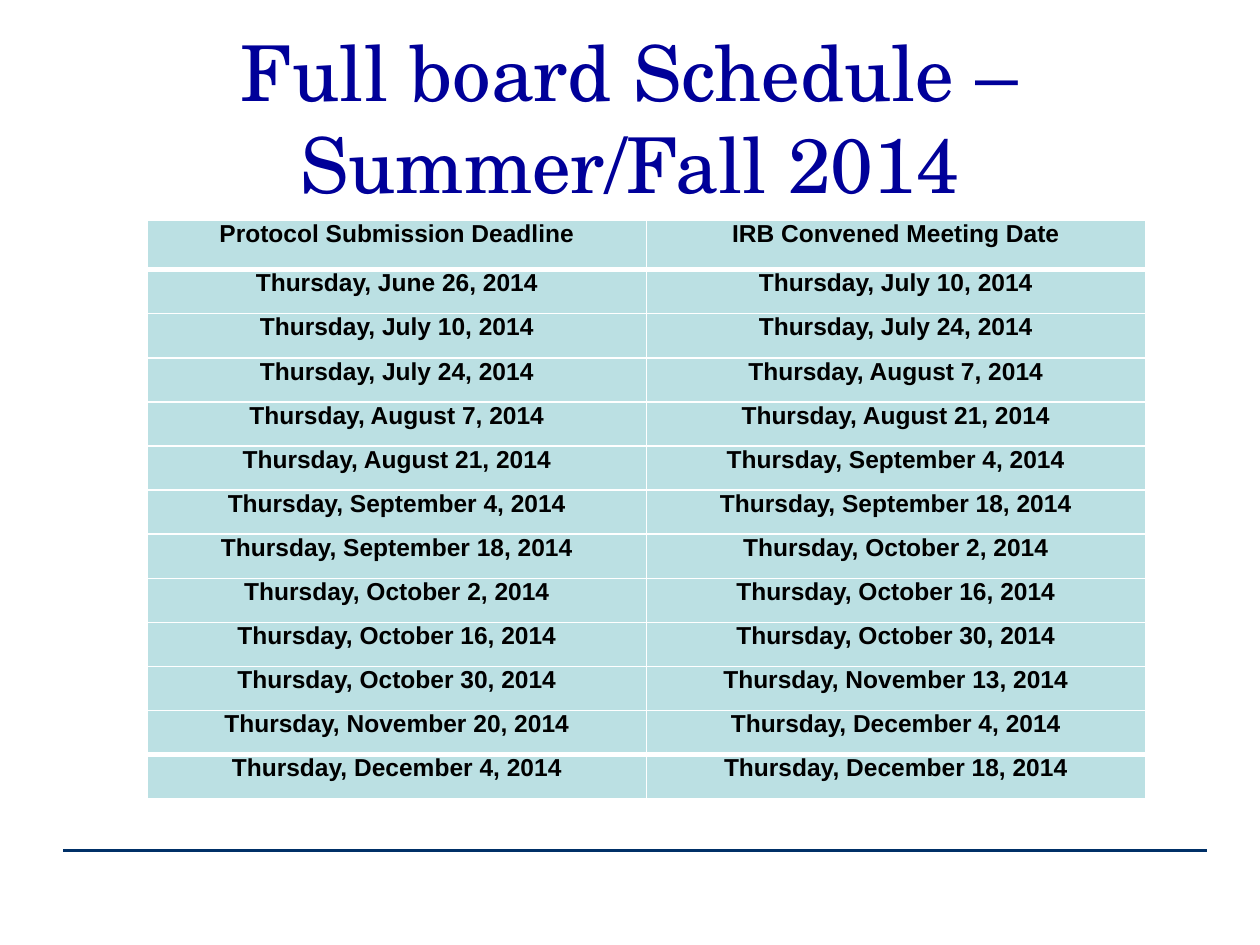
from dataclasses import dataclass
from lxml import etree
from pptx import Presentation
from pptx.dml.color import RGBColor
from pptx.enum.shapes import MSO_CONNECTOR
from pptx.enum.text import MSO_ANCHOR, PP_ALIGN
from pptx.oxml.ns import qn
from pptx.util import Inches, Pt

STRAIGHT = MSO_CONNECTOR.STRAIGHT
MIDDLE = MSO_ANCHOR.MIDDLE
TOP = MSO_ANCHOR.TOP
CENTER = PP_ALIGN.CENTER

SLIDE_WIDTH, SLIDE_HEIGHT = Inches(10), Inches(7.5)
HEADER_HEIGHT, MEETING_HEIGHT = 5.2, 4.67
THIN, THICK = 1, 3
WHITE = "FFFFFF"


@dataclass(frozen=True)
class Area:
    left: float
    top: float
    width: float
    height: float

    def lengths(self) -> tuple[int, int, int, int]:
        return across(self.left), down(self.top), across(self.width), down(self.height)


@dataclass(frozen=True)
class TextStyle:
    font: str
    size: float
    color: str
    bold: bool = False


@dataclass(frozen=True)
class Meeting:
    deadline: str
    convened: str


TITLE_STYLE = TextStyle("TeX Gyre Schola", 44, "000099")
CELL_STYLE = TextStyle("Arial", 14, "000000", True)

HEADER = Meeting("Protocol Submission Deadline", "IRB Convened Meeting Date")
MEETINGS = [
    Meeting("Thursday, June 26, 2014", "Thursday, July 10, 2014"),
    Meeting("Thursday, July 10, 2014", "Thursday, July 24, 2014"),
    Meeting("Thursday, July 24, 2014", "Thursday, August 7, 2014"),
    Meeting("Thursday, August 7, 2014", "Thursday, August 21, 2014"),
    Meeting("Thursday, August 21, 2014", "Thursday, September 4, 2014"),
    Meeting("Thursday, September 4, 2014", "Thursday, September 18, 2014"),
    Meeting("Thursday, September 18, 2014", "Thursday, October 2, 2014"),
    Meeting("Thursday, October 2, 2014", "Thursday, October 16, 2014"),
    Meeting("Thursday, October 16, 2014", "Thursday, October 30, 2014"),
    Meeting("Thursday, October 30, 2014", "Thursday, November 13, 2014"),
    Meeting("Thursday, November 20, 2014", "Thursday, December 4, 2014"),
    Meeting("Thursday, December 4, 2014", "Thursday, December 18, 2014"),
]


def across(percent: float) -> int:
    return round(SLIDE_WIDTH * percent / 100)


def down(percent: float) -> int:
    return round(SLIDE_HEIGHT * percent / 100)


def color(value: str) -> RGBColor:
    return RGBColor.from_string(value)


def write(frame, text: str, style: TextStyle) -> None:
    paragraph = frame.paragraphs[0]
    paragraph.alignment = CENTER
    run = paragraph.add_run()
    run.text = text
    run.font.name = style.font
    run.font.size = Pt(style.size)
    run.font.bold = style.bold
    run.font.color.rgb = color(style.color)


def draw_title(slide, area: Area, text: str) -> None:
    frame = slide.shapes.add_textbox(*area.lengths()).text_frame
    frame.word_wrap = True
    frame.vertical_anchor = MIDDLE
    write(frame, text, TITLE_STYLE)


def draw_footer_rule(slide, start: float, end: float, height: float) -> None:
    rule = slide.shapes.add_connector(
        STRAIGHT, across(start), down(height), across(end), down(height)
    )
    rule.line.color.rgb = color("003067")
    rule.line.width = Pt(2.25)
    etree.SubElement(rule._element.spPr, qn("a:effectLst"))


def add_borders(cell, top: float, bottom: float) -> None:
    properties = cell._tc.get_or_add_tcPr()
    widths = {"a:lnL": THIN, "a:lnR": THIN, "a:lnT": top, "a:lnB": bottom}
    for side, width in widths.items():
        border = etree.SubElement(properties, qn(side), w=str(Pt(width)))
        fill = etree.SubElement(border, qn("a:solidFill"))
        etree.SubElement(fill, qn("a:srgbClr"), val=WHITE)


def draw_cell(cell, text: str, top: float, bottom: float) -> None:
    cell.margin_left = cell.margin_right = across(0.7)
    cell.margin_top = cell.margin_bottom = 0
    cell.vertical_anchor = TOP
    add_borders(cell, top, bottom)
    cell.fill.solid()
    cell.fill.fore_color.rgb = color("BBE0E3")
    write(cell.text_frame, text, CELL_STYLE)


def draw_schedule(slide, left: float, top: float, width: float) -> None:
    entries = [HEADER, *MEETINGS]
    heights = [HEADER_HEIGHT] + [MEETING_HEIGHT] * len(MEETINGS)
    edges = [THIN, THICK] + [THIN] * (len(entries) - 3) + [THICK, THIN]
    area = Area(left, top, width, sum(heights))
    table = slide.shapes.add_table(len(entries), 2, *area.lengths()).table
    for column in table.columns:
        column.width = across(width / 2)
    for index, entry in enumerate(entries):
        table.rows[index].height = down(heights[index])
        for column, text in enumerate((entry.deadline, entry.convened)):
            draw_cell(table.cell(index, column), text, edges[index], edges[index + 1])


def main() -> None:
    presentation = Presentation()
    presentation.slide_width = SLIDE_WIDTH
    presentation.slide_height = SLIDE_HEIGHT
    slide = presentation.slides.add_slide(presentation.slide_layouts[6])
    slide.background.fill.solid()
    slide.background.fill.fore_color.rgb = color(WHITE)
    draw_footer_rule(slide, 5, 95.8, 90)
    draw_title(slide, Area(5, 4, 90, 16.67), "Full board Schedule – Summer/Fall 2014")
    draw_schedule(slide, 11.7, 23.33, 79.2)
    presentation.save("out.pptx")


if __name__ == "__main__":
    main()
